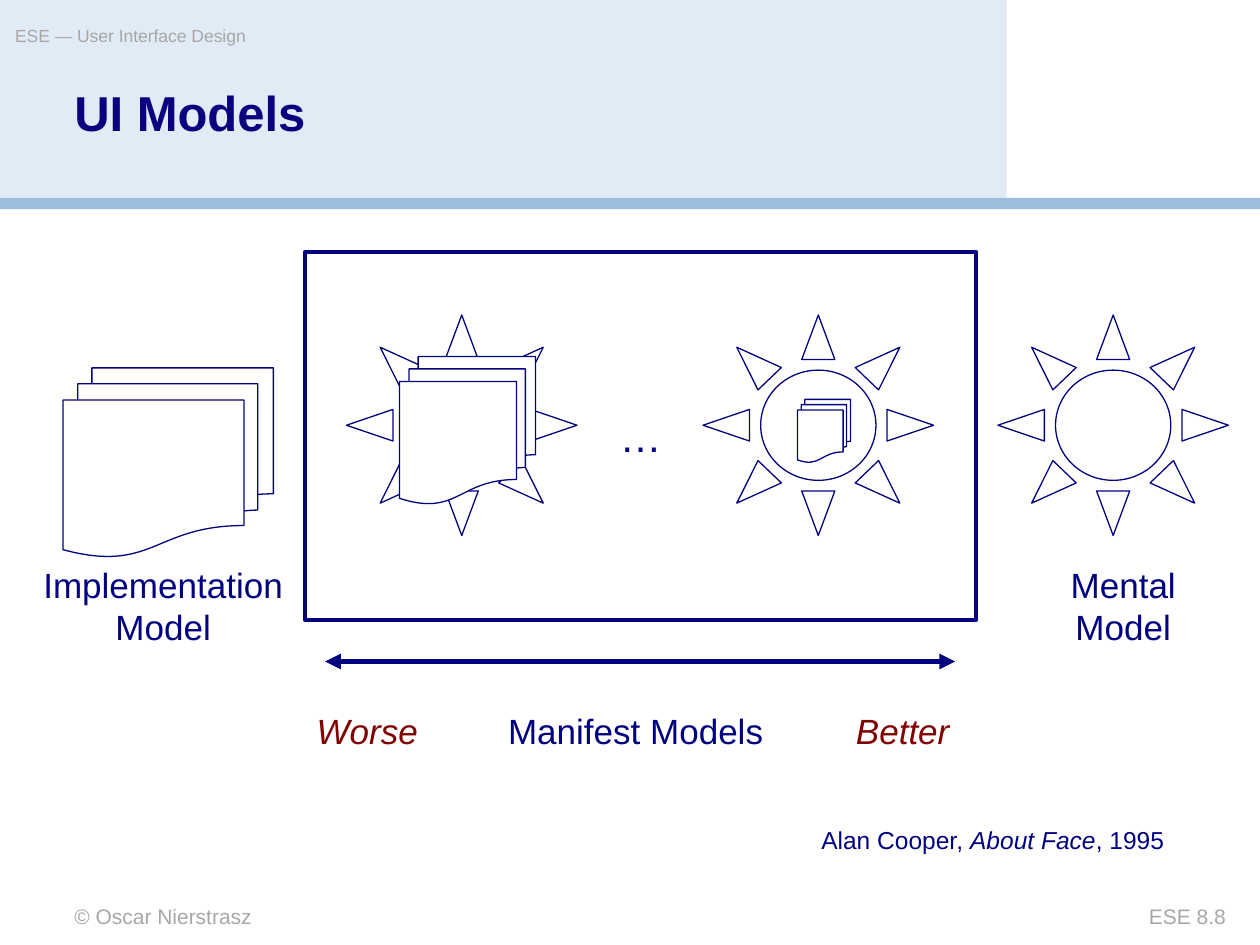
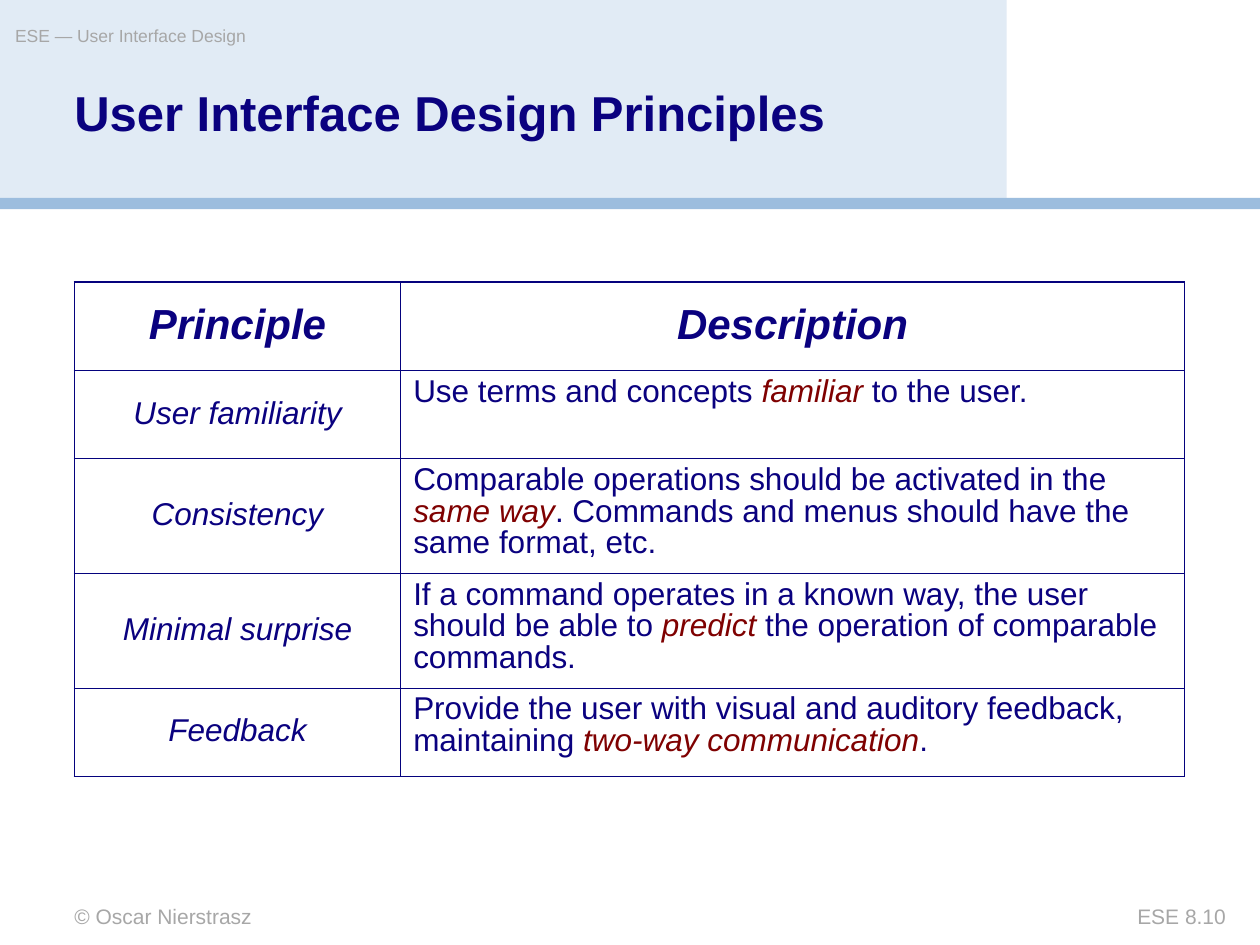
from lxml import etree
from pptx import Presentation
from pptx.dml.color import RGBColor
from pptx.enum.shapes import MSO_CONNECTOR, MSO_SHAPE
from pptx.enum.text import MSO_ANCHOR, PP_ALIGN
from pptx.oxml.ns import qn
from pptx.util import Inches, Pt

RECT, SUN = MSO_SHAPE.RECTANGLE, MSO_SHAPE.SUN
DOCUMENTS = MSO_SHAPE.FLOWCHART_MULTIDOCUMENT
STRAIGHT = MSO_CONNECTOR.STRAIGHT
LEFT, CENTER, RIGHT = PP_ALIGN.LEFT, PP_ALIGN.CENTER, PP_ALIGN.RIGHT
TOP, MIDDLE = MSO_ANCHOR.TOP, MSO_ANCHOR.MIDDLE

WHITE = RGBColor(0xFF, 0xFF, 0xFF)
PALE_BLUE = RGBColor(0xE1, 0xEB, 0xF5)
BAND_BLUE = RGBColor(0x9C, 0xBD, 0xDE)
GREY = RGBColor(0xA7, 0xA7, 0xA7)
OUTLINE = RGBColor(0x05, 0x02, 0x7D)
NAVY = RGBColor(0x00, 0x02, 0x7F)
TITLE_NAVY = RGBColor(0x0A, 0x01, 0x7F)
RED = RGBColor(0x7F, 0x01, 0x01)

FONT = "Arial"
MARGIN = 0.59
THIN, THICK = 0.45, 1.08


class Deck:
    def __init__(self):
        self.prs = Presentation()
        self.prs.slide_width, self.prs.slide_height = Inches(10), Inches(7.5)
        self.s = None

    def slide(self, title, number):
        """Start a slide with its bands, header, footers and title."""
        self.s = self.prs.slides.add_slide(self.prs.slide_layouts[6])
        self.shape(RECT, 0, 0, 7.99, 1.58, PALE_BLUE)
        self.shape(RECT, 0, 1.57, 10, 0.09, BAND_BLUE)
        self.text(MARGIN, 7.17, 4.17, 0.2, ["© Oscar Nierstrasz"], 12, GREY, inset=False)
        self.text(0.12, 0.2, 5.9, 0.28, ["ESE — User Interface Design"], 10, GREY, inset=False)
        self.text(8.25, 7.17, 1.48, 0.2, [f"ESE {number}"], 12, GREY, RIGHT, inset=False)
        p = self.text(MARGIN, 0.71, 7.24, 0.89, [title], 28, TITLE_NAVY, inset=False, bold=True)
        p.line_spacing = 0.9

    def runs(self, p, runs, size, color, align=LEFT, bold=False):
        """Fill a paragraph; a run is plain text or (text, color) for italics."""
        p.alignment = align
        for run in runs:
            text, run_color = (run, color) if isinstance(run, str) else run
            r = p.add_run()
            r.text = text
            r.font.name, r.font.size, r.font.bold = FONT, Pt(size), bold
            r.font.italic = not isinstance(run, str)
            r.font.color.rgb = run_color

    def text(self, x, y, w, h, runs, size, color=NAVY, align=LEFT, inset=True, bold=False):
        sp = self.s.shapes.add_textbox(Inches(x), Inches(y), Inches(w), Inches(h))
        tf = sp.text_frame
        tf.word_wrap = True
        if not inset:
            tf.margin_left = tf.margin_right = tf.margin_top = tf.margin_bottom = 0
        p = tf.paragraphs[0]
        self.runs(p, runs, size, color, align, bold)
        return p

    def shape(self, kind, x, y, w, h, fill=WHITE, line=None):
        sp = self.s.shapes.add_shape(kind, Inches(x), Inches(y), Inches(w), Inches(h))
        sp.shadow.inherit = False
        sp.fill.solid()
        sp.fill.fore_color.rgb = fill
        if line:
            sp.line.color.rgb, sp.line.width = OUTLINE, Pt(line)
        else:
            sp.line.fill.background()
        return sp

    def double_arrow(self, x1, x2, y):
        c = self.s.shapes.add_connector(STRAIGHT, Inches(x1), Inches(y), Inches(x2), Inches(y))
        c.line.color.rgb, c.line.width = NAVY, Pt(3)
        for end in ("a:headEnd", "a:tailEnd"):
            etree.SubElement(c.line._get_or_add_ln(), qn(end), type="triangle")
        etree.SubElement(c._element.spPr, qn("a:effectLst"))

    def borders(self, cell, widths):
        """Draw the left, right, top and bottom borders, widths in points."""
        tc_pr = cell._tc.get_or_add_tcPr()
        for i, (side, width) in enumerate(zip("LRTB", widths)):
            ln = etree.Element(qn(f"a:ln{side}"), w=str(Pt(width)))
            fill = etree.SubElement(ln, qn("a:solidFill"))
            etree.SubElement(fill, qn("a:srgbClr"), val=str(OUTLINE))
            tc_pr.insert(i, ln)

    def table(self, x, y, col_widths, row_heights, header, rows):
        frame = self.s.shapes.add_table(
            len(row_heights), len(col_widths), Inches(x), Inches(y),
            Inches(sum(col_widths)), Inches(sum(row_heights)))
        table = frame.table
        table.first_row = table.horz_banding = False
        for column, width in zip(table.columns, col_widths):
            column.width = Inches(width)
        for row, height in zip(table.rows, row_heights):
            row.height = Inches(height)
        last_row, last_col = len(row_heights) - 1, len(col_widths) - 1
        for i, row in enumerate([header] + rows):
            for j, runs in enumerate(row):
                cell = table.cell(i, j)
                cell.fill.background()
                centered = i == 0 or j == 0
                cell.vertical_anchor = MIDDLE if centered else TOP
                p = cell.text_frame.paragraphs[0]
                p.line_spacing = 0.9
                self.runs(p, runs, 18 if i else 24, TITLE_NAVY,
                          CENTER if centered else LEFT, bold=i == 0)
                outer = (j == 0, j == last_col, i == 0, i == last_row)
                self.borders(cell, [THICK if edge else THIN for edge in outer])


def ui_models(deck):
    deck.slide("UI Models", "8.8")
    manifest = deck.shape(RECT, 2.42, 2, 5.33, 2.92, line=2.25)
    tf = manifest.text_frame
    tf.vertical_anchor = MIDDLE
    deck.runs(tf.paragraphs[0], ["…"], 24, NAVY, CENTER)

    for x in (7.92, 2.75, 5.58):
        deck.shape(SUN, x, 2.5, 1.83, 1.75, line=0.75)
    for box in ((0.5, 2.92, 1.67, 1.5), (3.17, 2.83, 1.08, 1.17), (6.33, 3.17, 0.42, 0.5)):
        deck.shape(DOCUMENTS, *box, line=0.75)
    deck.double_arrow(2.58, 7.58, 5.25)

    labels = [
        (0.17, 4.42, 2.25, 0.77, "Implementation Model"),
        (8.08, 4.42, 1.67, 0.77, "Mental Model"),
        (3.42, 5.58, 3.25, 0.44, "Manifest Models"),
        (6.5, 5.58, 1.33, 0.44, ("Better", RED)),
        (2.25, 5.58, 1.33, 0.44, ("Worse", RED)),
    ]
    for *box, label in labels:
        deck.text(*box, [label], 20, align=CENTER)
    deck.text(6.42, 6.5, 3.17, 0.34, ["Alan Cooper, ", ("About Face", NAVY), ", 1995"], 14)


def design_principles(deck):
    deck.slide("User Interface Design Principles", "8.10")
    header = [[(name, TITLE_NAVY)] for name in ("Principle", "Description")]
    principles = [
        ("User familiarity",
         "Use terms and concepts ", "familiar", " to the user."),
        ("Consistency",
         "Comparable operations should be activated in the ", "same way",
         ". Commands and menus should have the same format, etc."),
        ("Minimal surprise",
         "If a command operates in a known way, the user should be able to ", "predict",
         " the operation of comparable commands."),
        ("Feedback",
         "Provide the user with visual and auditory feedback, maintaining ",
         "two-way communication", "."),
    ]
    rows = [[[(name, TITLE_NAVY)], [before, (keyword, RED), after]]
            for name, before, keyword, after in principles]
    deck.table(MARGIN, 2.24, [2.59, 6.22], [0.7, 0.7, 0.91, 0.91, 0.7], header, rows)


def main():
    deck = Deck()
    ui_models(deck)
    design_principles(deck)
    deck.prs.save("out.pptx")


if __name__ == "__main__":
    main()
